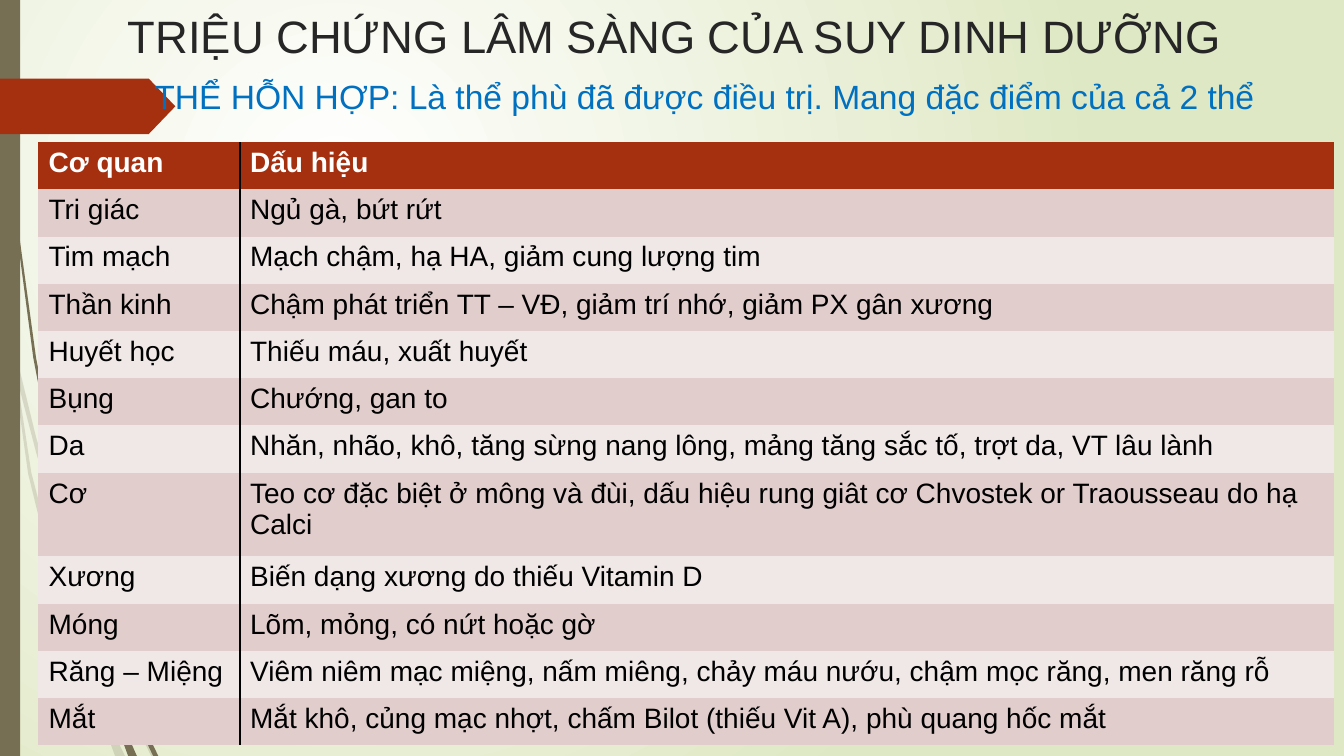
from pptx import Presentation, util as u
from pptx.dml.color import RGBColor
from pptx.enum import shapes, text
from pptx.oxml import parse_xml
from pptx.oxml.ns import nsdecls, qn

WHITE = RGBColor(0xFF, 0xFF, 0xFF)
BLACK = RGBColor(0, 0, 0)
LIME = RGBColor(0xDF, 0xE8, 0xC4)
OLIVE = RGBColor(0x76, 0x6F, 0x54)
RUST = RGBColor(0xA5, 0x30, 0x10)
BLUE = RGBColor(0x00, 0x70, 0xC0)
INK = RGBColor(0x26, 0x26, 0x26)
BANDS = RGBColor(0xF0, 0xE8, 0xE7), RGBColor(0xE1, 0xCD, 0xCC)

# Outlines in centimetres, with opacity in percent
WISPS = [
    (20, [(.36, 8.76), (.43, 9.55), (.91, 11.4), (1.47, 13.26), (2.13, 15.21),
          (2.16, 14.88), (1.57, 13.21), (.91, 11.02)]),
    (20, [(.28, 8.89), (.71, 11.94), (1.65, 15.77), (2.34, 17.6), (2.57, 18.14),
          (2.36, 17.35), (1.78, 15.72), (.79, 11.91), (.43, 9.55)]),
    (20, [(2.24, 15.14), (2.24, 15.49), (3.12, 17.63), (3.81, 19.05),
          (3.94, 19.05), (3.23, 17.58), (2.34, 15.42)]),
    (20, [(2.36, 17.35), (2.57, 18.14), (2.9, 19.05), (3.15, 19.05), (2.67, 18.06)]),
    (100, [(.08, 0), (.18, 2.8), (.43, 5.92), (.84, 9.02), (1.45, 12.2),
           (1.4, 11.5), (.91, 9.02), (.48, 5.9), (.2, 2.77), (.1, 0)]),
    (100, [(2.79, 16.28), (2.82, 16.66), (3.35, 17.98), (3.86, 19.05),
           (3.99, 19.05), (3.45, 17.93), (2.87, 16.48)]),
    (100, [(2.79, 17.55), (2.97, 18.34), (3.23, 19.05), (3.45, 19.05), (3.1, 18.26)]),
]

SIGNS = [
    ("Cơ quan", "Dấu hiệu"),
    ("Tri giác", "Ngủ gà, bứt rứt"),
    ("Tim mạch", "Mạch chậm, hạ HA, giảm cung lượng tim"),
    ("Thần kinh", "Chậm phát triển TT – VĐ, giảm trí nhớ, giảm PX gân xương"),
    ("Huyết học", "Thiếu máu, xuất huyết"),
    ("Bụng", "Chướng, gan to"),
    ("Da", "Nhăn, nhão, khô, tăng sừng nang lông, mảng tăng sắc tố, trợt da, VT lâu lành"),
    ("Cơ", "Teo cơ đặc biệt ở mông và đùi, dấu hiệu rung giât cơ Chvostek or Traousseau do hạ Calci"),
    ("Xương", "Biến dạng xương do thiếu Vitamin D"),
    ("Móng", "Lõm, mỏng, có nứt hoặc gờ"),
    ("Răng – Miệng", "Viêm niêm mạc miệng, nấm miêng, chảy máu nướu, chậm mọc răng, men răng rỗ"),
    ("Mắt", "Mắt khô, củng mạc nhợt, chấm Bilot (thiếu Vit A), phù quang hốc mắt"),
]


class Deck:
    font = "Arial"

    def __init__(self, wide, high):
        self.prs = Presentation()
        self.prs.slide_width, self.prs.slide_height = u.Cm(wide), u.Cm(high)
        self.slide = self.prs.slides.add_slide(self.prs.slide_layouts[5])
        self.items = self.slide.shapes

    def label(self, para, words, size, color, bold=False):
        para.text = words
        font = para.font
        font.name, font.size, font.bold = self.font, u.Pt(size), bold
        font.color.rgb = color

    def paint(self, shape, color, alpha=100):
        shape.shadow.inherit = False
        shape.fill.solid()
        shape.fill.fore_color.rgb = color
        shape.line.fill.background()
        if alpha < 100:
            tint = shape.element.spPr.find(".//" + qn("a:srgbClr"))
            tint.append(parse_xml(f'<a:alpha {nsdecls("a")} val="{alpha * 1000}"/>'))

    def glow(self, inner, outer):
        """Radial gradient behind the whole slide."""
        fill = self.slide.background.fill
        fill.gradient()
        for stop, color in zip(fill.gradient_stops, (inner, outer)):
            stop.color.rgb = color
        line = self.slide.element.find(".//" + qn("a:lin"))
        line.getparent().replace(line, parse_xml(
            f'<a:path {nsdecls("a")} path="circle">'
            '<a:fillToRect l="50000" t="50000" r="100000" b="100000"/></a:path>'))

    def block(self, kind, box, color):
        shape = self.items.add_shape(kind, *map(u.Cm, box))
        self.paint(shape, color)
        return shape

    def wisp(self, points, color, alpha):
        dots = [(x * 100, y * 100) for x, y in points]
        pen = self.items.build_freeform(*dots[0], scale=u.Cm(0.01))
        pen.add_line_segments(dots[1:], close=True)
        self.paint(pen.convert_to_shape(), color, alpha)

    def title(self, words, box, size, color):
        head = self.items.title
        head.left, head.top, head.width, head.height = map(u.Cm, box)
        frame = head.text_frame
        frame.vertical_anchor = text.MSO_ANCHOR.MIDDLE
        frame.auto_size = text.MSO_AUTO_SIZE.NONE
        para = frame.paragraphs[0]
        self.label(para, words, size, color)
        para.alignment = text.PP_ALIGN.LEFT

    def note(self, words, box, size, color, inset):
        frame = self.items.add_textbox(*map(u.Cm, box)).text_frame
        frame.word_wrap = True
        para = frame.paragraphs[0]
        self.label(para, words, size, color)
        para.space_before = u.Pt(10)
        para._p.get_or_add_pPr().set("marL", str(int(u.Cm(inset))))

    def edges(self, cell, dark):
        """Black line on the side named by dark, none on the others."""
        for spot, side in enumerate("LRTB"):
            ink = (f'<a:solidFill><a:srgbClr val="{BLACK}"/></a:solidFill>'
                   if side == dark else "<a:noFill/>")
            cell._tc.get_or_add_tcPr().insert(spot, parse_xml(
                f'<a:ln{side} {nsdecls("a")} w="12700">{ink}</a:ln{side}>'))

    def table(self, data, box, cols, highs, size):
        grid = self.items.add_table(len(data), len(cols), *map(u.Cm, box)).table
        for col, wide in zip(grid.columns, cols):
            col.width = u.Cm(wide)
        for r, (row, high) in enumerate(zip(data, highs)):
            grid.rows[r].height = u.Cm(high)
            for c, words in enumerate(row):
                cell = grid.cell(r, c)
                self.label(cell.text_frame.paragraphs[0], words, size,
                           BLACK if r else WHITE, r == 0)
                cell.fill.solid()
                cell.fill.fore_color.rgb = BANDS[r % 2] if r else RUST
                self.edges(cell, "RL"[c])


def main():
    deck = Deck(33.87, 19.05)
    deck.glow(WHITE, LIME)
    for alpha, points in WISPS:
        deck.wisp(points, OLIVE, alpha)
    deck.block(shapes.MSO_SHAPE.RECTANGLE, (0, 0, 0.51, 19.05), OLIVE)
    arrow = deck.block(shapes.MSO_SHAPE.PENTAGON, (0, 1.98, 4.42, 1.4), RUST)
    arrow.adjustments[0] = 0.48
    deck.title("TRIỆU CHỨNG LÂM SÀNG CỦA SUY DINH DƯỠNG",
               (2.97, 0, 29.57, 1.8), 32.4, INK)
    deck.note("THỂ HỖN HỢP: Là thể phù đã được điều trị. Mang đặc điểm của cả 2 thể",
              (0.97, 1.8, 32.41, 16.43), 24, BLUE, 2.67)
    highs = [2.11 if row[0] == "Cơ" else 1.19 for row in SIGNS]
    deck.table(SIGNS, (0.97, 3.58, 32.64, 15.2), (5.08, 27.56), highs, 20)
    deck.prs.save("out.pptx")


if __name__ == "__main__":
    main()
